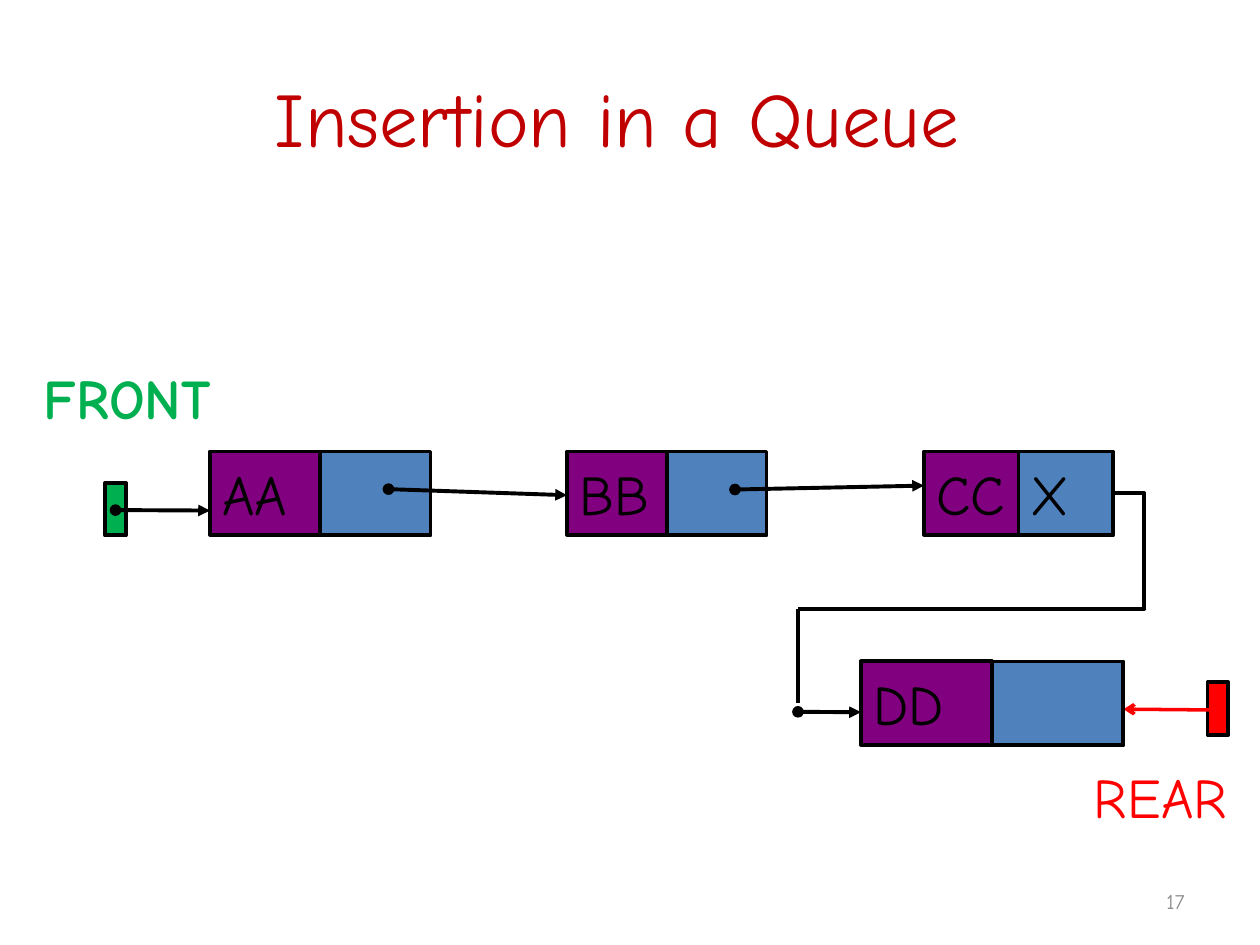
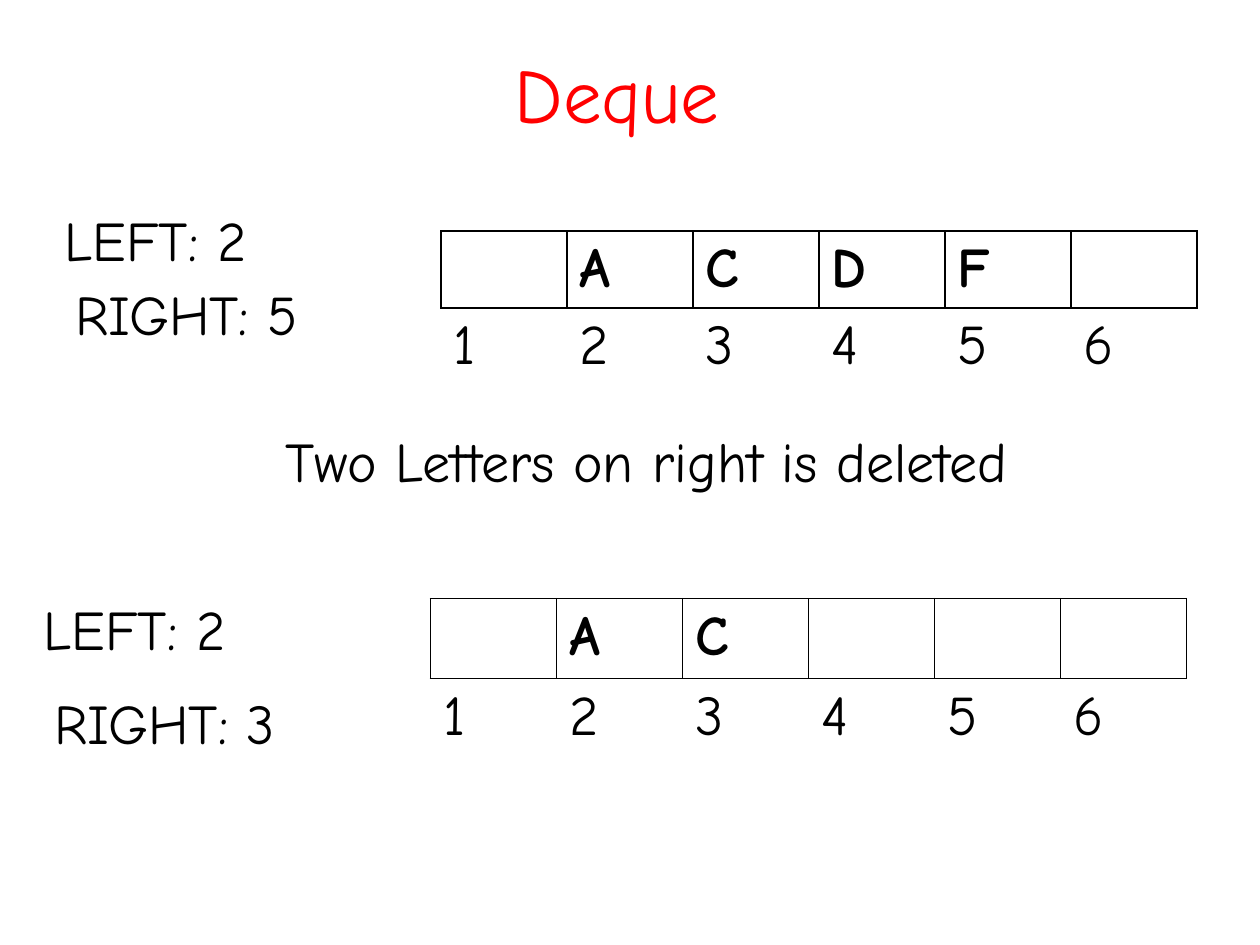
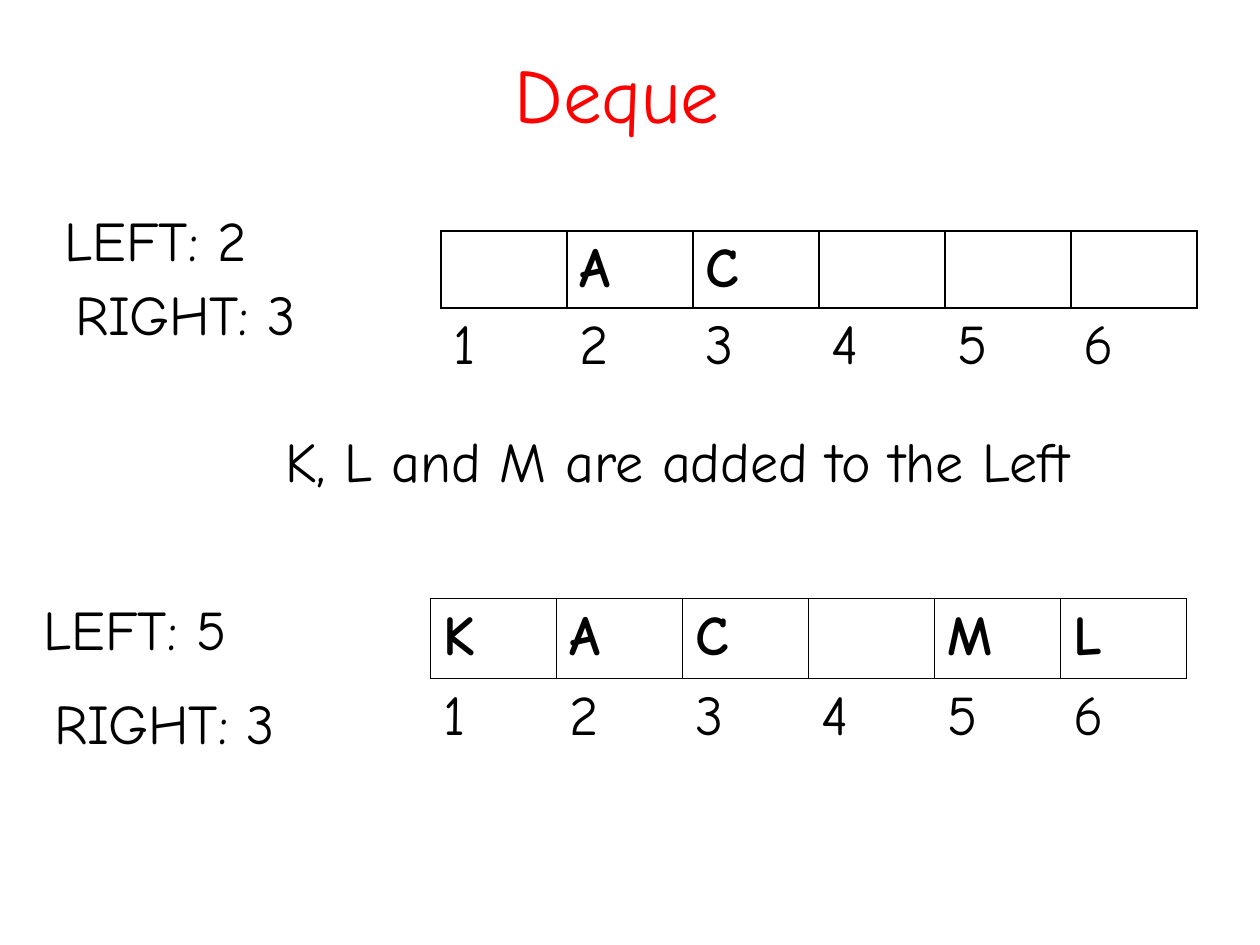
from lxml.etree import SubElement
from pptx import Presentation
from pptx.dml.color import RGBColor
from pptx.enum.shapes import MSO_CONNECTOR, MSO_SHAPE
from pptx.enum.text import MSO_ANCHOR, MSO_AUTO_SIZE, PP_ALIGN
from pptx.oxml.ns import qn
from pptx.util import Pt

BLACK, RED, DARK_RED = "000000", "FF0000", "C00000"
GREEN, PURPLE, BLUE, GRAY = "00B050", "800080", "4F81BD", "8C8C8C"


def color(hex_text):
    """Turn a hex string into a colour."""
    return RGBColor.from_string(hex_text)


def set_attributes(target, **values):
    """Set each named attribute of the target."""
    for name, value in values.items():
        setattr(target, name, value)


class Deck:
    """Holds the shared style and the slide being filled."""

    font = "Comic Neue"
    title_size, text_size, number_size = 44, 32, 12
    line_width = 2.25
    title_only_layout = 5

    def __init__(self):
        """Start an empty 4:3 presentation."""
        self.presentation = Presentation()
        set_attributes(self.presentation, slide_width=Pt(720), slide_height=Pt(540))

    def add_slide(self, title, title_color, title_height):
        """Add a slide with a centred title."""
        layout = self.presentation.slide_layouts[self.title_only_layout]
        self.slide = self.presentation.slides.add_slide(layout)
        self.end_group()
        shape = self.slide.shapes.title
        set_attributes(shape, left=Pt(36), top=Pt(21.6), width=Pt(648), height=Pt(title_height))
        set_attributes(shape.text_frame, vertical_anchor=MSO_ANCHOR.MIDDLE,
                       auto_size=MSO_AUTO_SIZE.NONE)
        self.add_text(shape.text_frame, title, title_color, self.title_size,
                      alignment=PP_ALIGN.CENTER)

    def start_group(self):
        """Put the next elements into a new group."""
        self.shapes = self.slide.shapes.add_group_shape().shapes

    def end_group(self):
        """Put the next elements directly on the slide."""
        self.shapes = self.slide.shapes

    def add_text(self, frame, text, text_color=BLACK, size=None, bold=False,
                 alignment=PP_ALIGN.LEFT):
        """Put one formatted paragraph into a text frame."""
        paragraph = frame.paragraphs[0]
        paragraph.alignment = alignment
        run = paragraph.add_run()
        run.text = text
        set_attributes(run.font, name=self.font, size=Pt(size or self.text_size), bold=bold)
        run.font.color.rgb = color(text_color)

    def label(self, text, left, top, width, text_color=BLACK, bold=False):
        """Add a large label that grows with its text."""
        frame = self.shapes.add_textbox(Pt(left), Pt(top), Pt(width), Pt(46)).text_frame
        set_attributes(frame, word_wrap=True, auto_size=MSO_AUTO_SIZE.SHAPE_TO_FIT_TEXT)
        self.add_text(frame, text, text_color, bold=bold)

    def page_number(self, number):
        """Add the slide number at the lower right."""
        frame = self.shapes.add_textbox(Pt(516), Pt(500.5), Pt(168), Pt(28.75)).text_frame
        set_attributes(frame, word_wrap=True, vertical_anchor=MSO_ANCHOR.MIDDLE)
        self.add_text(frame, number, GRAY, self.number_size, alignment=PP_ALIGN.RIGHT)

    def box(self, left, top, width, height, fill, text=""):
        """Add an outlined rectangle."""
        shape = self.shapes.add_shape(MSO_SHAPE.RECTANGLE, Pt(left), Pt(top),
                                      Pt(width), Pt(height))
        shape.shadow.inherit = False
        shape.fill.solid()
        shape.fill.fore_color.rgb = color(fill)
        shape.line.color.rgb = color(BLACK)
        shape.line.width = Pt(self.line_width)
        if text:
            set_attributes(shape.text_frame, word_wrap=False,
                           vertical_anchor=MSO_ANCHOR.MIDDLE)
            self.add_text(shape.text_frame, text)

    def node(self, left, top, half_width, text, link_text=""):
        """Add a list node: a link half and a data half."""
        self.box(left + half_width, top, half_width, 48, BLUE, link_text)
        self.box(left, top, half_width, 47.5, PURPLE, text)

    def pointer(self, left, top, fill):
        """Add the small box of a FRONT or REAR pointer."""
        self.box(left, top, 12, 30, fill)

    def connector(self, start, end, line_color=BLACK, width=line_width,
                  head=None, tail=None, bend=None):
        """Add a straight line, or an elbow with the given bend."""
        kind = MSO_CONNECTOR.STRAIGHT if bend is None else MSO_CONNECTOR.ELBOW
        connector = self.shapes.add_connector(kind, *map(Pt, start + end))
        connector.line.color.rgb = color(line_color)
        connector.line.width = Pt(width)
        properties = connector._element.spPr
        outline = properties.find(qn("a:ln"))
        for tag, end_type in (("a:headEnd", head), ("a:tailEnd", tail)):
            if end_type:
                SubElement(outline, qn(tag), type=end_type)
        SubElement(properties, qn("a:effectLst"))
        if bend is not None:
            adjustments = properties.find(qn("a:prstGeom")).find(qn("a:avLst"))
            SubElement(adjustments, qn("a:gd"), name="adj1", fmla=f"val {bend}")

    def link(self, start, end):
        """Add a link arrow that starts with a dot."""
        self.connector(start, end, head="oval", tail="triangle")

    def border(self, cell, sides, border_width):
        """Draw the given sides of a cell and clear the others."""
        properties = cell._tc.get_or_add_tcPr()
        for position, side in enumerate("LRTB"):
            line = properties.makeelement(qn(f"a:ln{side}"))
            properties.insert(position, line)
            if side not in sides:
                SubElement(line, qn("a:noFill"))
                continue
            if border_width:
                line.set("w", str(Pt(border_width)))
            fill = SubElement(line, qn("a:solidFill"))
            SubElement(fill, qn("a:srgbClr"), val=BLACK)

    def array(self, left, top, values, row_height, border_width=None):
        """Add a row of framed values above a row of their positions."""
        count = len(values)
        frame = self.shapes.add_table(2, count, Pt(left), Pt(top),
                                      Pt(72 * count), Pt(2 * row_height))
        table = frame.table
        set_attributes(table, first_row=False, horz_banding=False)
        for column, value in enumerate(values):
            for row, text in enumerate((value.strip(), str(column + 1))):
                cell = table.cell(row, column)
                cell.fill.background()
                self.border(cell, "T" if row else "LRTB", border_width)
                if text:
                    self.add_text(cell.text_frame, text, bold=row == 0)

    def deque_slide(self, before, action, after):
        """Show a deque before and after an action; each state is (left, right, values)."""
        self.add_slide("Deque ", RED, 62.4)
        left, right, values = before
        self.array(252, 132, values, 44, border_width=1)
        self.label(f"LEFT: {left}", 30, 114, 156)
        self.label(f"RIGHT: {right}", 36, 156, 162)
        self.label(action, 156, 240, 528)
        left, right, values = after
        self.array(246, 342, values, 45.72)
        self.label(f"LEFT: {left}", 18, 336, 156)
        self.label(f"RIGHT: {right}", 24, 390, 162)


def queue_slide(deck):
    """Build the slide on inserting into a linked queue."""
    deck.add_slide("Insertion in a Queue ", DARK_RED, 90)
    deck.start_group()
    deck.node(120, 258, 63, "AA")
    deck.pointer(60, 276, GREEN)
    deck.node(528, 258, 54, "CC", "X")
    deck.node(324, 258, 57, "BB")
    deck.link((66, 291.5), (120, 291.75))
    deck.link((222, 279.5), (324, 283))
    deck.link((420, 279.75), (528, 277.5))
    deck.label("FRONT", 18, 204, 132, GREEN, bold=True)
    deck.end_group()
    deck.page_number("17")
    deck.pointer(690, 390, RED)
    deck.connector((696, 405.75), (642, 405.25), RED, width=2, tail="arrow")
    deck.label("REAR", 618, 432, 102, RED)
    deck.start_group()
    deck.node(492, 378, 75, "DD")
    deck.end_group()
    deck.link((456, 406.75), (492, 407))
    deck.connector((636, 282), (456, 348), bend=-10000)
    deck.connector((456, 348), (456, 402))


deck = Deck()
queue_slide(deck)
deck.deque_slide((2, 5, " ACDF "), "Two Letters on right is deleted", (2, 3, " AC   "))
deck.deque_slide((2, 3, " AC   "), "K, L and M are added to the Left", (5, 3, "KAC ML"))
deck.presentation.save("out.pptx")
